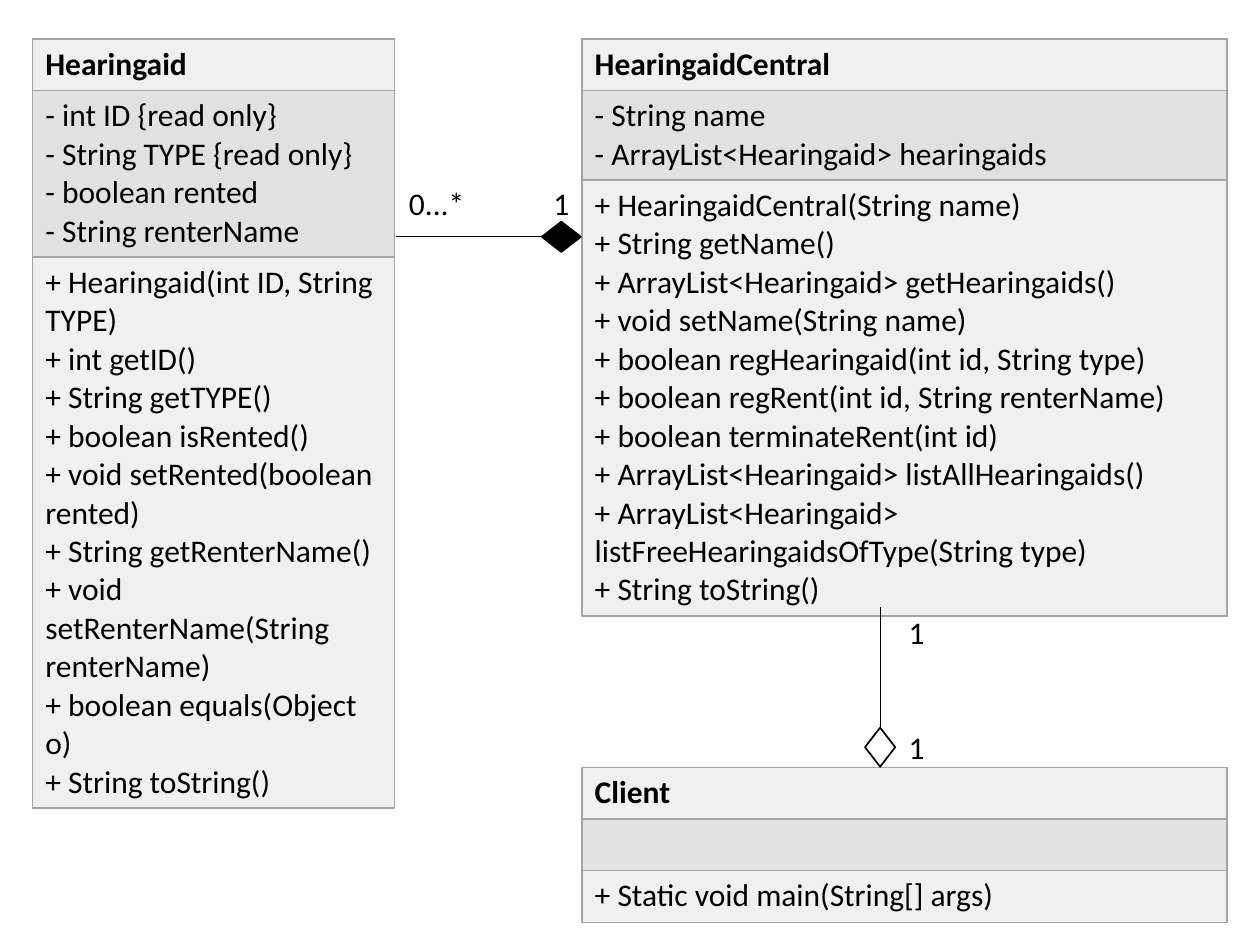
"""Builds a UML class diagram slide for a hearing aid rental system."""
from lxml import etree
from pptx import Presentation
from pptx.dml.color import RGBColor
from pptx.enum.shapes import MSO_CONNECTOR, MSO_SHAPE
from pptx.enum.text import MSO_AUTO_SIZE, PP_ALIGN
from pptx.oxml.ns import qn
from pptx.util import Inches, Pt

BLACK = RGBColor(0x00, 0x00, 0x00)
WHITE = RGBColor(0xFF, 0xFF, 0xFF)
LIGHT = RGBColor(0xF0, 0xF0, 0xF0)
MEDIUM = RGBColor(0xE1, 0xE1, 0xE1)
BORDER = RGBColor(0xA5, 0xA5, 0xA5)
STRAIGHT = MSO_CONNECTOR.STRAIGHT
DIAMOND = MSO_SHAPE.DIAMOND
GROW = MSO_AUTO_SIZE.SHAPE_TO_FIT_TEXT
CENTER = PP_ALIGN.CENTER
BLANK_LAYOUT = 6


class ClassDiagram:
    """Holds the diagram style and the slide it is drawn on."""

    font = "Calibri"
    size = Pt(18)
    row_height = 0.41

    def __init__(self, slide):
        """Keep the slide that receives the elements."""
        self.shapes = slide.shapes

    def format_text(self, tf, bold=False):
        """Apply the diagram font to every run."""
        for p in tf.paragraphs:
            for r in p.runs:
                r.font.name, r.font.size, r.font.bold = self.font, self.size, bold
                r.font.color.rgb = BLACK

    def border(self, cell):
        """Draw a thin grey line on all four sides of a cell."""
        tc_pr = cell._tc.get_or_add_tcPr()
        for side in ("lnL", "lnR", "lnT", "lnB"):
            ln = etree.SubElement(tc_pr, qn(f"a:{side}"), w=str(Pt(1)))
            fill = etree.SubElement(ln, qn("a:solidFill"))
            etree.SubElement(fill, qn("a:srgbClr"), val=str(BORDER))

    def class_box(self, x, y, w, name, fields, methods):
        """Add a class as a table of name, fields and methods."""
        sections = ([name], fields, methods)
        frame = self.shapes.add_table(
            len(sections), 1, Inches(x), Inches(y), Inches(w),
            Inches(self.row_height * len(sections)))
        table = frame.table
        for i, lines in enumerate(sections):
            table.rows[i].height = Inches(self.row_height)
            cell = table.cell(i, 0)
            self.border(cell)
            cell.fill.solid()
            cell.fill.fore_color.rgb = MEDIUM if i == 1 else LIGHT
            cell.text_frame.text = "\n".join(lines)
            self.format_text(cell.text_frame, bold=i == 0)

    def diamond(self, x, y, color, rotation=0):
        """Add the diamond that marks the owning end of a relation."""
        sp = self.shapes.add_shape(
            DIAMOND, Inches(x), Inches(y), Inches(0.31), Inches(0.24))
        sp.rotation = rotation
        sp.shadow.inherit = False
        sp.fill.solid()
        sp.fill.fore_color.rgb = color
        sp.line.color.rgb = BLACK
        sp.line.width = Pt(1)

    def relation(self, x1, y1, x2, y2):
        """Add a thin straight relation line."""
        line = self.shapes.add_connector(
            STRAIGHT, Inches(x1), Inches(y1), Inches(x2), Inches(y2))
        line.line.color.rgb = BLACK
        line.line.width = Pt(0.5)
        etree.SubElement(line._element.spPr, qn("a:effectLst"))

    def multiplicity(self, x, y, text, w=0.33):
        """Add a centred multiplicity label."""
        sp = self.shapes.add_textbox(
            Inches(x), Inches(y), Inches(w), Inches(0.4))
        tf = sp.text_frame
        tf.word_wrap = False
        tf.auto_size = GROW
        tf.text = text
        tf.paragraphs[0].alignment = CENTER
        self.format_text(tf)


HEARINGAID_FIELDS = [
    "- int ID {read only}",
    "- String TYPE {read only}",
    "- boolean rented",
    "- String renterName",
]
HEARINGAID_METHODS = [
    "+ Hearingaid(int ID, String TYPE)",
    "+ int getID()",
    "+ String getTYPE()",
    "+ boolean isRented()",
    "+ void setRented(boolean rented)",
    "+ String getRenterName()",
    "+ void setRenterName(String renterName)",
    "+ boolean equals(Object o)",
    "+ String toString()",
]
CENTRAL_FIELDS = [
    "- String name",
    "- ArrayList<Hearingaid> hearingaids",
]
CENTRAL_METHODS = [
    "+ HearingaidCentral(String name)",
    "+ String getName()",
    "+ ArrayList<Hearingaid> getHearingaids()",
    "+ void setName(String name)",
    "+ boolean regHearingaid(int id, String type)",
    "+ boolean regRent(int id, String renterName)",
    "+ boolean terminateRent(int id)",
    "+ ArrayList<Hearingaid> listAllHearingaids()",
    "+ ArrayList<Hearingaid> listFreeHearingaidsOfType(String type)",
    "+ String toString()",
]


def main():
    """Build and save the slide."""
    prs = Presentation()
    prs.slide_width, prs.slide_height = Inches(10), Inches(7.5)
    s = prs.slides.add_slide(prs.slide_layouts[BLANK_LAYOUT])
    diagram = ClassDiagram(s)

    diagram.class_box(0.26, 0.31, 2.87, "Hearingaid",
                      HEARINGAID_FIELDS, HEARINGAID_METHODS)
    diagram.class_box(4.62, 0.31, 5.12, "HearingaidCentral",
                      CENTRAL_FIELDS, CENTRAL_METHODS)
    diagram.class_box(4.62, 6.09, 5.12, "Client", [],
                      ["+ Static void main(String[] args)"])

    diagram.diamond(4.3, 1.76, BLACK)
    diagram.relation(4.3, 1.88, 3.14, 1.88)
    diagram.multiplicity(4.29, 1.41, "1")
    diagram.multiplicity(3.14, 1.41, "0...*", w=0.65)

    diagram.diamond(6.83, 5.81, WHITE, rotation=90)
    diagram.relation(6.99, 5.78, 6.99, 4.82)
    diagram.multiplicity(7.11, 5.73, "1")
    diagram.multiplicity(7.11, 4.82, "1")

    prs.save("out.pptx")


main()
